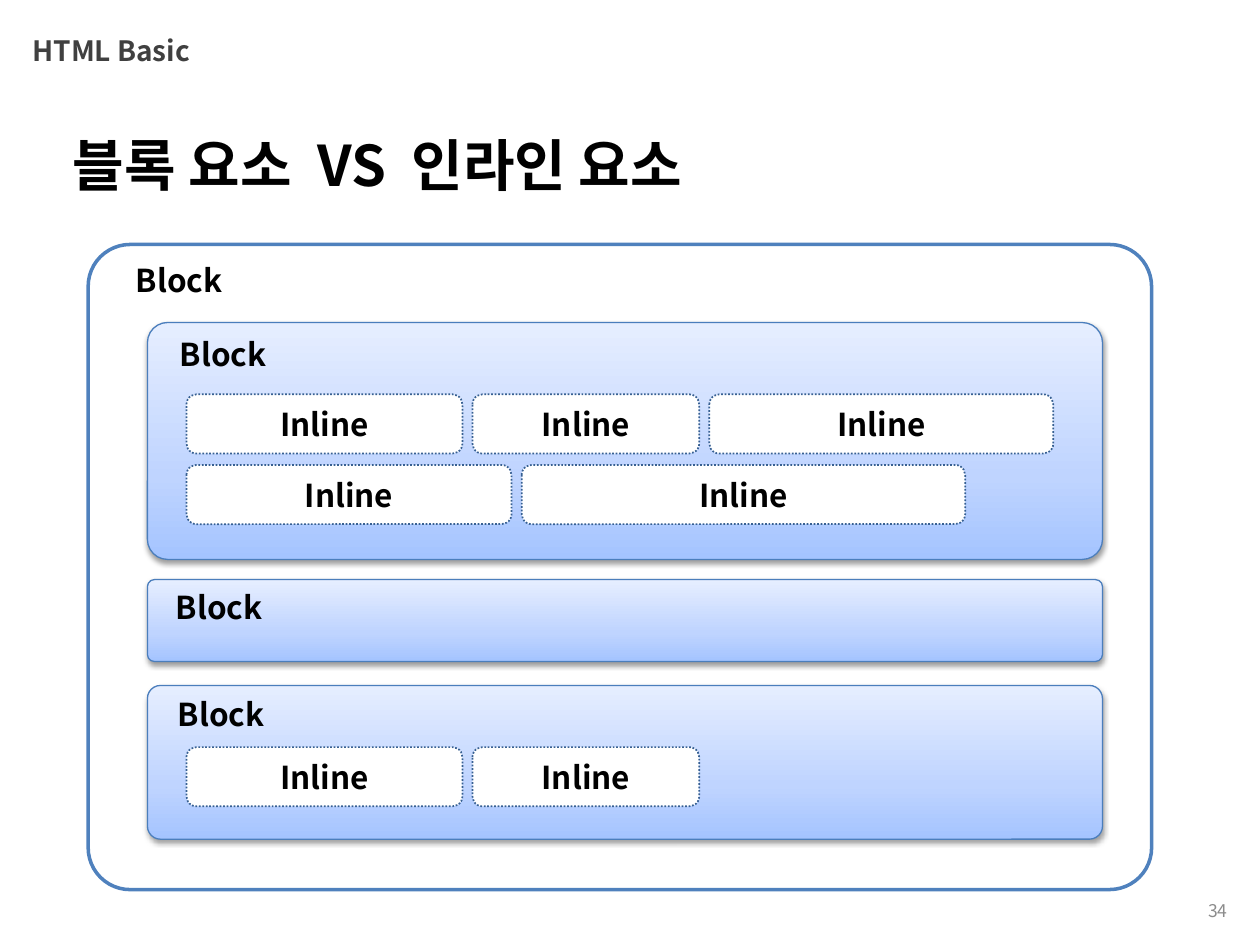
"""Build a slide that nests inline elements inside block elements."""
from lxml.etree import SubElement
from pptx import Presentation
from pptx.dml.color import RGBColor
from pptx.enum.dml import MSO_LINE
from pptx.enum.shapes import MSO_SHAPE
from pptx.enum.text import MSO_ANCHOR, PP_ALIGN
from pptx.oxml import parse_xml
from pptx.oxml.ns import nsdecls, qn
from pptx.util import Inches, Pt

THEME = {
    "font": "Noto Sans CJK KR",
    "text": "000000", "header": "404040", "number": "8C8C8C", "paper": "FFFFFF",
    "frame": "4F81BD", "block": "4B7EBC", "inline": "376092", "shadow": "000000",
    "gradient": [(0, "A4C4FF"), (35, "BFD4FF"), (100, "E6EEFF")],
    "header_size": 16, "headline_size": 32, "label_size": 18, "number_size": 10,
}

deck = Presentation()
deck.slide_width, deck.slide_height = Inches(10), Inches(7.5)
COLUMN, ROW = deck.slide_width / 100, deck.slide_height / 75
slide = deck.slides.add_slide(deck.slide_layouts[6])


def place(left, top, width, height, line=None, weight=1, corner=None):
    box = [int(left * COLUMN), int(top * ROW), int(width * COLUMN), int(height * ROW)]
    if line is None:
        return slide.shapes.add_textbox(*box)
    panel = slide.shapes.add_shape(MSO_SHAPE.ROUNDED_RECTANGLE, *box)
    panel.shadow.inherit = False
    panel.fill.solid()
    panel.fill.fore_color.rgb = RGBColor.from_string(THEME["paper"])
    panel.line.color.rgb = RGBColor.from_string(THEME[line])
    panel.line.width = Pt(weight)
    if corner:
        panel.adjustments[0] = corner
    return panel


def write(holder, pieces, size="label_size", color="text", bold=True,
          align=PP_ALIGN.LEFT, anchor=MSO_ANCHOR.TOP):
    frame = holder.text_frame
    frame.word_wrap = True
    frame.vertical_anchor = anchor
    paragraph = frame.paragraphs[0]
    paragraph.alignment = align
    paragraph.font.size = Pt(THEME[size])
    paragraph.font.bold = bold
    paragraph.font.name = THEME["font"]
    paragraph.font.color.rgb = RGBColor.from_string(THEME[color])
    SubElement(paragraph.font._element, qn("a:ea")).set("typeface", THEME["font"])
    for piece in pieces:
        run = paragraph.add_run()
        run.text = piece
        properties = run._r.get_or_add_rPr()
        properties.append(parse_xml(f'<a:ea {nsdecls("a")} typeface="{THEME["font"]}"/>'))
        if piece == " ":
            properties.set("spc", "720")


write(place(1.6, 2.2, 88.3, 4.8), ["HTML Basic"], "header_size", "header")
write(place(4.8, 9.9, 54.2, 6.4), ["블록 요소", " ", "VS", " ", "인라인 요소"], "headline_size")
write(place(75.1, 70.3, 23.3, 4), ["34"], "number_size", "number", False,
      PP_ALIGN.RIGHT, MSO_ANCHOR.MIDDLE)

place(7, 19.4, 84.4, 51.2, "frame", 2, 0.065)
write(place(9.8, 20.2, 9.9, 4), ["Block"])

blocks = [
    (25.6, 18.8, [(31.3, [21.9, 18, 27.3]), (36.9, [25.8, 35.2])]),
    (46, 6.5, []),
    (54.4, 12.2, [(59.3, [21.9, 18])]),
]
stops = "".join(f'<a:gs pos="{share * 1000}"><a:srgbClr val="{color}"/></a:gs>'
                for share, color in THEME["gradient"])
gradient = (f'<a:gradFill {nsdecls("a")} rotWithShape="1"><a:gsLst>{stops}</a:gsLst>'
            '<a:lin ang="16200000" scaled="0"/></a:gradFill>')
shadow = (f'<a:outerShdw {nsdecls("a")} blurRad="{Pt(3.1)}" dist="{Pt(1.6)}" dir="5400000" '
          f'rotWithShape="0"><a:srgbClr val="{THEME["shadow"]}"><a:alpha val="38000"/>'
          '</a:srgbClr></a:outerShdw>')

for block_top, block_height, inline_rows in blocks:
    block = place(11.7, block_top, 75.8, block_height, "block", 0.75, 0.085)
    properties = block._element.spPr
    properties.replace(properties.find(qn("a:solidFill")), parse_xml(gradient))
    properties.find(qn("a:effectLst")).append(parse_xml(shadow))
    block.text_frame.margin_left = int(2.1 * COLUMN)
    write(block, ["Block"])
    for inline_top, widths in inline_rows:
        left = 14.8
        for width in widths:
            inline = place(left, inline_top, width, 4.7, "inline")
            inline.line.dash_style = MSO_LINE.ROUND_DOT
            write(inline, ["Inline"], align=PP_ALIGN.CENTER, anchor=MSO_ANCHOR.MIDDLE)
            left += width + 0.8

deck.save("out.pptx")
